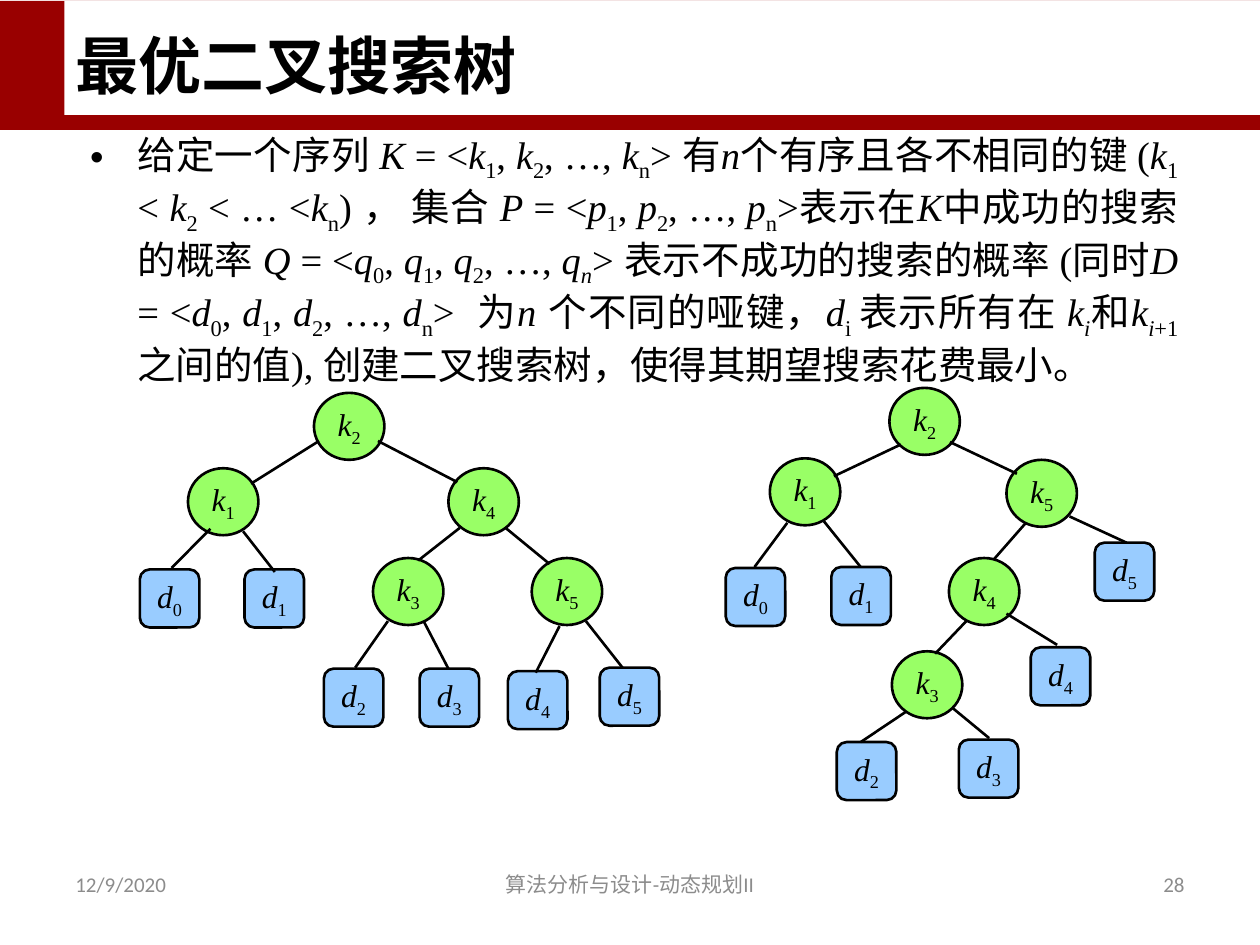
from lxml.etree import SubElement
from pptx import Presentation
from pptx.dml.color import RGBColor
from pptx.enum.shapes import MSO_CONNECTOR, MSO_SHAPE
from pptx.enum.text import MSO_ANCHOR, PP_ALIGN
from pptx.oxml.ns import qn
from pptx.util import Cm, Pt

COLORS = {
    "band": "990000",
    "white": "FFFFFF",
    "ink": "000000",
    "key": "99FF66",
    "dummy": "99CCFF",
    "footer": "8C8C8C",
}
SERIF = "Times New Roman"

STATEMENT = (
    "给定一个序列 *K *= <*k*~1~, *k*~2~, …, *k*~n~> 有*n*个有序且各不相同的键 "
    "(*k*~1~ < *k*~2~ < … <*k*~n~) ， 集合 *P* = <*p*~1~, *p*~2~, …, *p*~n~>"
    "表示在*K*中成功的搜索的概率 *Q *= <*q*~0~, *q*~1~, *q*~2~, …, *q~n~*> "
    "表示不成功的搜索的概率 (同时*D* = <*d*~0~, *d*~1~, *d*~2~, …, *d*~n~>  为*n *"
    "个不同的哑键，*d*~i ~表示所有在 *k~i~*和*k~i*+1~之间的值), "
    "创建二叉搜索树，使得其期望搜索花费最小。"
)

BALANCED_NODES = {
    "k2": (3.51, 0), "k1": (0.97, 1.52), "k3": (4.7, 3.33),
    "k4": (6.22, 1.52), "k5": (7.9, 3.33),
    "d0": (0, 3.56), "d1": (2.11, 3.56), "d2": (3.71, 5.56),
    "d3": (5.64, 5.56), "d4": (7.42, 5.61), "d5": (9.27, 5.54),
}
BALANCED_EDGES = [
    (3.61, 0.97, 2.24, 1.83), (1.42, 2.74, 0.64, 3.53),
    (2.08, 2.79, 2.72, 3.61), (4.8, 0.97, 6.4, 1.8),
    (6.45, 2.72, 5.61, 3.38), (7.37, 2.72, 8.26, 3.45),
    (5, 4.6, 4.34, 5.54), (5.72, 4.6, 6.22, 5.56),
    (8.46, 4.7, 7.98, 5.64), (8.99, 4.6, 9.73, 5.54),
]
OPTIMAL_NODES = {
    "k2": (3.3, 0), "k1": (0.89, 1.42), "k4": (4.5, 3.43),
    "k5": (5.66, 1.45), "k3": (3.35, 5.31),
    "d0": (0, 3.63), "d1": (2.13, 3.61), "d2": (2.24, 7.14),
    "d3": (4.7, 7.09), "d4": (6.15, 5.23), "d5": (7.44, 3.12),
}
OPTIMAL_EDGES = [
    (3.53, 1.14, 2.18, 1.78), (4.52, 1.09, 5.87, 1.73),
    (6.93, 2.59, 8.08, 3.12), (6.05, 2.72, 5.41, 3.45),
    (5.66, 4.55, 6.68, 5.18), (4.85, 4.7, 4.22, 5.36),
    (4.57, 6.45, 5.31, 7.06), (3.63, 6.53, 2.72, 7.14),
    (1.98, 2.69, 2.72, 3.61), (1.24, 2.72, 0.58, 3.61),
]


def color(name):
    return RGBColor.from_string(COLORS[name])


def style(paragraph, size, name=SERIF, ink="ink", align=PP_ALIGN.LEFT):
    paragraph.alignment = align
    paragraph.font.size = Pt(size)
    paragraph.font.name = name
    paragraph.font.color.rgb = color(ink)


def add_marked_text(paragraph, marked):
    italic = False
    for outer, part in enumerate(marked.split("~")):
        for inner, text in enumerate(part.split("*")):
            if inner:
                italic = not italic
            if text:
                run = paragraph.add_run()
                run.text = text
                run.font.italic = italic
                if outer % 2:
                    run.font._element.set("baseline", "-25000")


def add_filled(slide, kind, left, top, width, height, fill):
    shape = slide.shapes.add_shape(kind, Cm(left), Cm(top), Cm(width), Cm(height))
    shape.shadow.inherit = False
    shape.fill.solid()
    shape.fill.fore_color.rgb = color(fill)
    shape.line.fill.background()
    return shape


def add_text_box(slide, left, top, width, height, anchor):
    box = slide.shapes.add_textbox(Cm(left), Cm(top), Cm(width), Cm(height))
    box.text_frame.word_wrap = True
    box.text_frame.vertical_anchor = anchor
    return box.text_frame.paragraphs[0]


def add_header(slide, left, top, width, height):
    add_filled(slide, MSO_SHAPE.RECTANGLE, left, top, width, height, "band")
    add_filled(slide, MSO_SHAPE.RECTANGLE, left + 1.3, top, width - 1.3, height - 0.3, "white")
    paragraph = add_text_box(slide, left + 1.27, top + 0.34, 22.86, 1.83, MSO_ANCHOR.BOTTOM)
    paragraph.text = "最优二叉搜索树"
    style(paragraph, 36)
    paragraph.font.bold = True


def add_statement(slide, left, top, width, height):
    paragraph = add_text_box(slide, left, top, width, height, MSO_ANCHOR.TOP)
    style(paragraph, 22, align=PP_ALIGN.JUSTIFY)
    add_marked_text(paragraph, STATEMENT)
    properties = paragraph._p.get_or_add_pPr()
    properties.set("marL", str(Cm(0.95)))
    properties.set("indent", str(Cm(-0.95)))
    spacing = SubElement(properties, qn("a:spcBef"))
    SubElement(spacing, qn("a:spcPct")).set("val", "20000")
    SubElement(properties, qn("a:buFont")).set("typeface", "Arial")
    SubElement(properties, qn("a:buChar")).set("char", "•")
    properties.append(properties.find(qn("a:defRPr")))


def add_node(slide, label, left, top):
    if label[0] == "k":
        node = add_filled(slide, MSO_SHAPE.OVAL, left, top, 1.42, 1.35, "key")
    else:
        node = add_filled(slide, MSO_SHAPE.ROUNDED_RECTANGLE, left, top, 1.2, 1.17, "dummy")
    node.line.color.rgb = color("ink")
    node.line.width = Pt(1.5)
    node.text_frame.word_wrap = False
    node.text_frame.vertical_anchor = MSO_ANCHOR.MIDDLE
    paragraph = node.text_frame.paragraphs[0]
    style(paragraph, 18, align=PP_ALIGN.CENTER)
    add_marked_text(paragraph, f"*{label[0]}*~{label[1]}~")


def add_tree(slide, left, top, nodes, edges):
    for label, (x, y) in nodes.items():
        add_node(slide, label, left + x, top + y)
    for x1, y1, x2, y2 in edges:
        edge = slide.shapes.add_connector(
            MSO_CONNECTOR.STRAIGHT,
            Cm(left + x1), Cm(top + y1), Cm(left + x2), Cm(top + y2),
        )
        edge.line.color.rgb = color("ink")
        edge.line.width = Pt(1.5)
        SubElement(edge._element.spPr, qn("a:effectLst"))


def add_footer(slide, left, top, width, height):
    parts = [
        ("12/9/2020", 0, 5.93, PP_ALIGN.LEFT),
        ("算法分析与设计-动态规划II", (width - 9.6) / 2, 9.6, PP_ALIGN.CENTER),
        ("28", width - 5.93, 5.93, PP_ALIGN.RIGHT),
    ]
    for text, offset, part_width, align in parts:
        paragraph = add_text_box(slide, left + offset, top, part_width, height, MSO_ANCHOR.MIDDLE)
        paragraph.text = text
        style(paragraph, 12, "Calibri", "footer", align)


presentation = Presentation()
presentation.slide_width = Cm(25.4)
presentation.slide_height = Cm(19.05)
slide = presentation.slides.add_slide(presentation.slide_layouts[6])
add_header(slide, 0, 0.02, 25.4, 2.6)
add_statement(slide, 1.57, 2.51, 22.43, 13.77)
add_tree(slide, 2.82, 7.92, BALANCED_NODES, BALANCED_EDGES)
add_tree(slide, 14.63, 7.82, OPTIMAL_NODES, OPTIMAL_EDGES)
add_footer(slide, 1.27, 17.32, 22.86, 1.02)
presentation.save("out.pptx")
